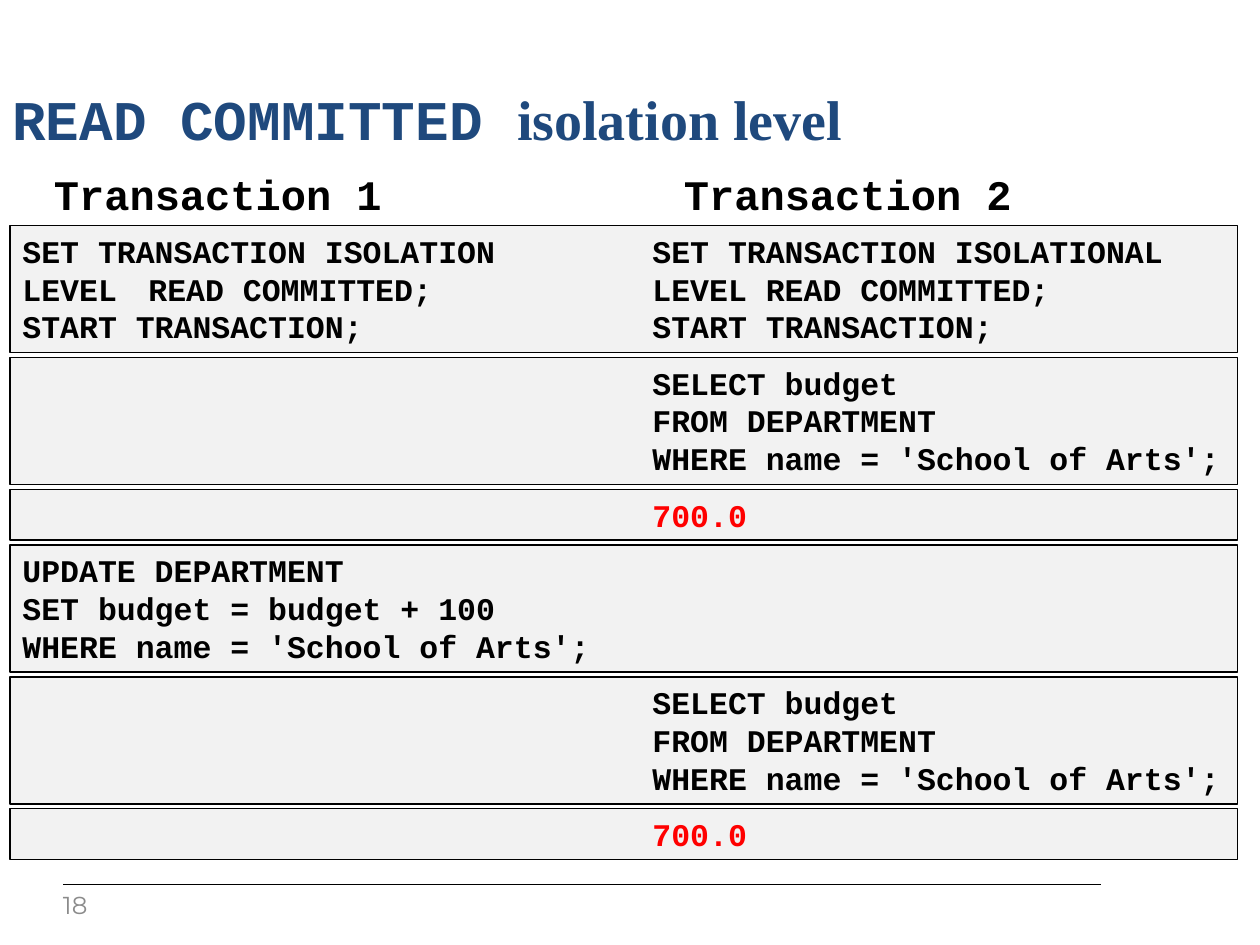
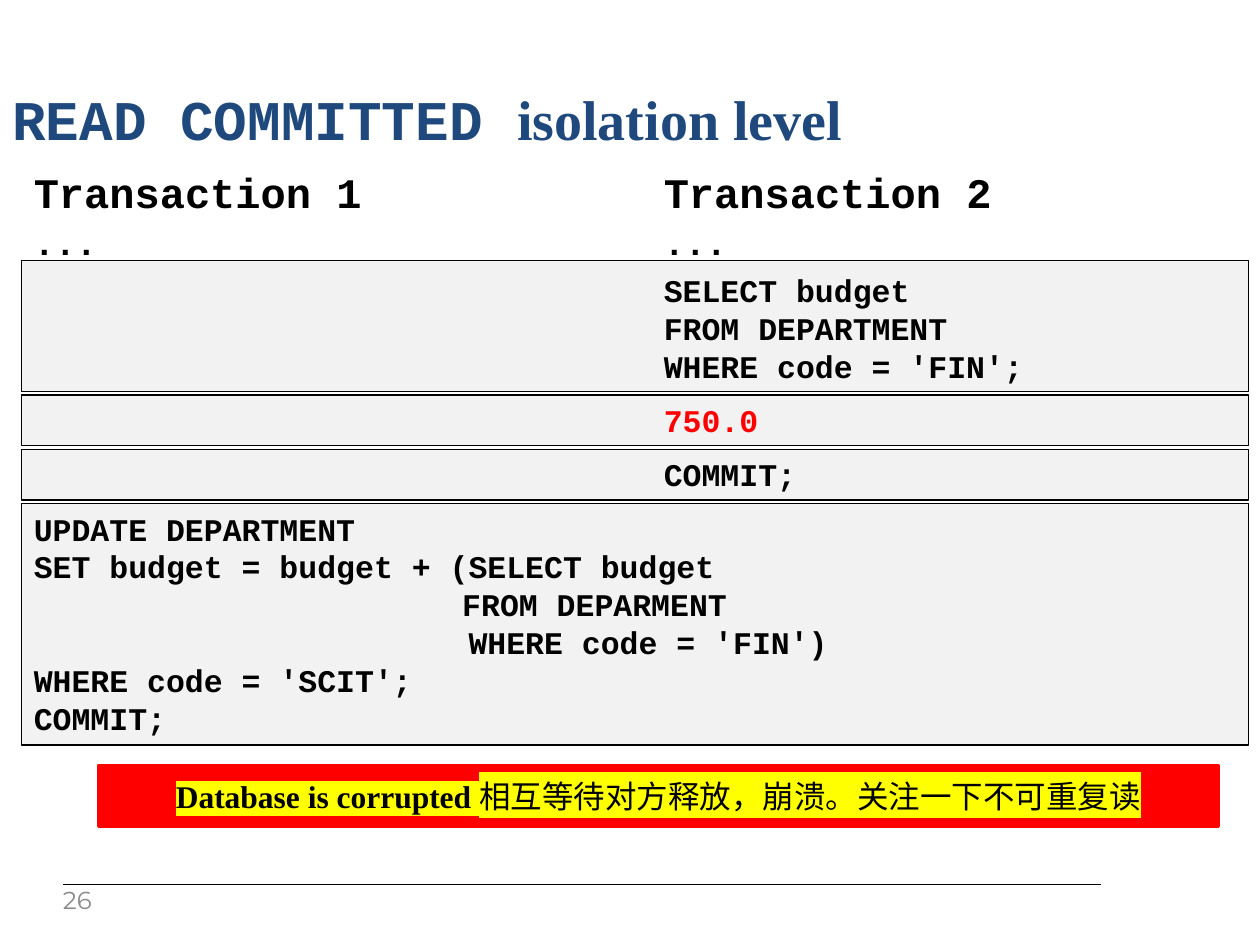
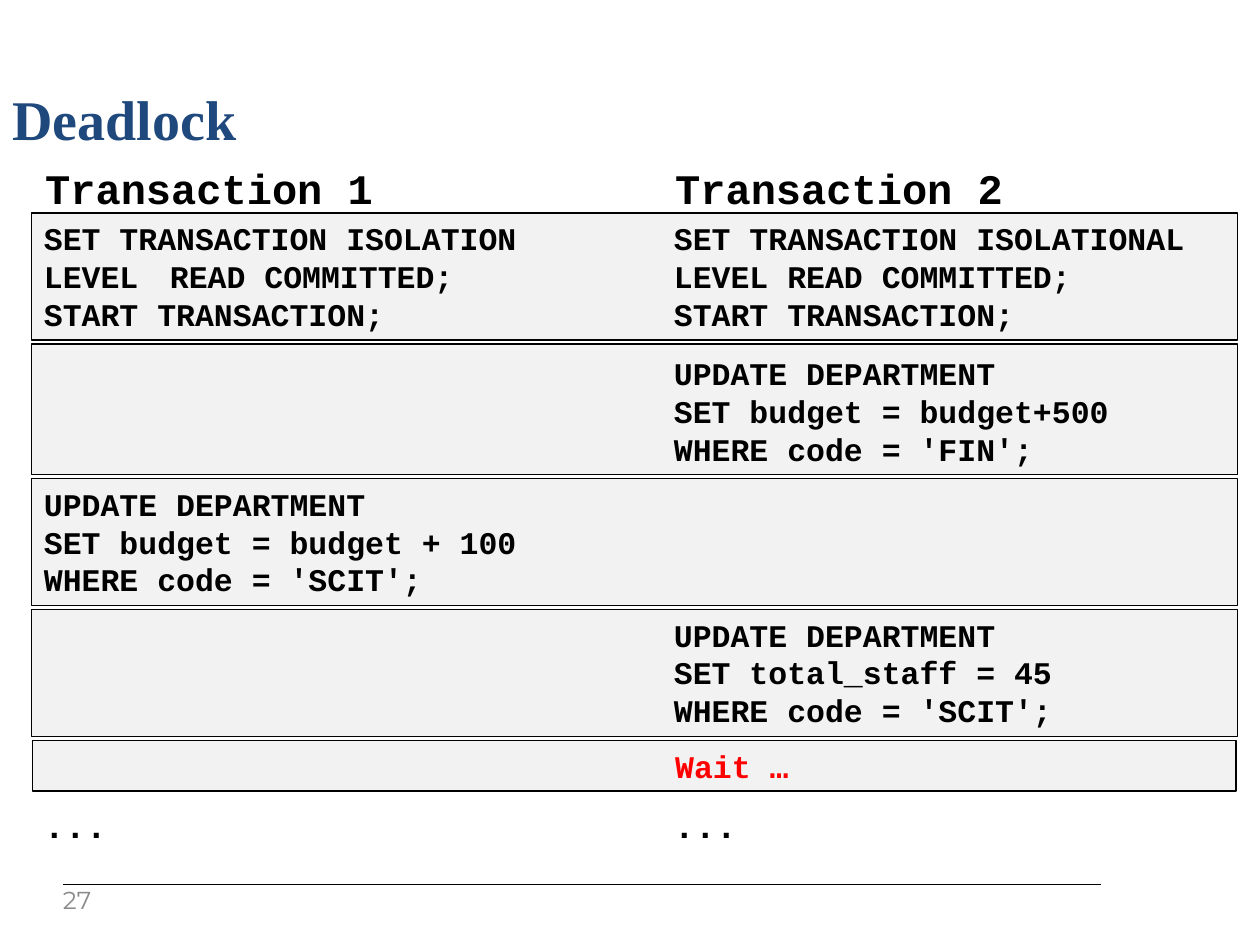
from dataclasses import dataclass
from typing import Optional

from lxml.etree import SubElement
from pptx import Presentation
from pptx.dml.color import RGBColor
from pptx.enum.shapes import MSO_CONNECTOR as Connector, MSO_SHAPE as Preset
from pptx.enum.text import MSO_ANCHOR as Anchor, MSO_AUTO_SIZE as AutoSize, PP_ALIGN as Align
from pptx.oxml.ns import qn
from pptx.util import Emu, Inches, Pt

SLIDE_WIDTH, SLIDE_HEIGHT = Inches(10), Inches(7.5)
COLUMN, ROW = SLIDE_WIDTH / 100, SLIDE_HEIGHT / 75
LABEL_COLUMN, SECOND_COLUMN = 10, 50
LINE_ROWS, PADDING_ROWS = 3.03, 1


@dataclass(frozen=True)
class Theme:
    """Colours, fonts and sizes shared by the deck."""
    ink: str = "000000"
    title: str = "1F497D"
    panel: str = "F2F2F2"
    result: str = "FF0000"
    highlight: str = "FFFF00"
    muted: str = "8B8B8B"
    code_font: str = "Courier New"
    text_font: str = "Times New Roman"
    number_font: str = "Montserrat"
    title_size: int = 32
    heading_size: int = 24
    ellipsis_size: int = 20
    code_size: int = 18
    number_size: int = 14
    hairline: float = 0.75
    heavy_line: float = 2


THEME = Theme()


@dataclass(frozen=True)
class Box:
    """A rectangle in grid columns and rows."""
    left: float
    top: float
    width: float
    height: float

    def emu(self) -> tuple[Emu, Emu, Emu, Emu]:
        """Return left, top, width and height as lengths."""
        return (Emu(round(self.left * COLUMN)), Emu(round(self.top * ROW)),
                Emu(round(self.width * COLUMN)), Emu(round(self.height * ROW)))


@dataclass(frozen=True)
class Span:
    """A piece of text in one font."""
    text: str
    font: str = THEME.text_font


@dataclass(frozen=True)
class Line:
    """One code line with a part for each transaction."""
    left: str = ""
    right: str = ""
    color: str = THEME.ink


@dataclass(frozen=True)
class Step:
    """A panel of code lines in the schedule."""
    lines: tuple[Line, ...]
    tall: bool = False
    inset: float = 0

    @property
    def rows(self) -> float:
        """Return the panel height in rows."""
        extra = 0.3 if self.tall else 0
        return PADDING_ROWS + LINE_ROWS * len(self.lines) + extra


@dataclass(frozen=True)
class Schedule:
    """The content and placing of one slide."""
    title: tuple[Span, ...]
    number: str
    number_top: float
    heading: Box
    left: float
    top: float
    width: float
    gap: float
    steps: tuple[Step, ...]
    ellipsis_top: Optional[float] = None
    warning: tuple[str, ...] = ()


def first(*texts: str) -> Step:
    """Make a step of transaction 1."""
    return Step(tuple(Line(left=text) for text in texts))


def second(*texts: str, color: str = THEME.ink, tall: bool = False, inset: float = 0) -> Step:
    """Make a step of transaction 2."""
    return Step(tuple(Line(right=text, color=color) for text in texts), tall, inset)


def rgb(color: str) -> RGBColor:
    """Turn a hex string into a colour."""
    return RGBColor.from_string(color)


def style(font, name: Optional[str], size: float, color: str, bold: bool = True) -> None:
    """Set the look of a font."""
    if name:
        font.name = name
    font.size, font.bold = Pt(size), bold
    font.color.rgb = rgb(color)


def add_text_box(slide, box: Box, grow: bool = False):
    """Add a wrapping text box and return its frame."""
    frame = slide.shapes.add_textbox(*box.emu()).text_frame
    frame.word_wrap = True
    if grow:
        frame.auto_size = AutoSize.SHAPE_TO_FIT_TEXT
    return frame


def add_rectangle(slide, box: Box, fill: str, line: str, weight: float):
    """Add a flat rectangle and return its frame."""
    shape = slide.shapes.add_shape(Preset.RECTANGLE, *box.emu())
    shape.shadow.inherit = False
    shape.fill.solid()
    shape.fill.fore_color.rgb = rgb(fill)
    shape.line.color.rgb = rgb(line)
    shape.line.width = Pt(weight)
    shape.text_frame.word_wrap = True
    return shape.text_frame


def set_tabs(paragraph, *columns: float) -> None:
    """Give a paragraph left tab stops."""
    tabs = SubElement(paragraph._p.get_or_add_pPr(), qn("a:tabLst"))
    for column in columns:
        SubElement(tabs, qn("a:tab"), pos=str(round(column * COLUMN)), algn="l")


def write_lines(frame, lines: tuple[Line, ...], size: float, tall: bool = False) -> None:
    """Write code lines aligned on the two transaction columns."""
    for index, line in enumerate(lines):
        paragraph = frame.paragraphs[0] if index == 0 else frame.add_paragraph()
        paragraph.alignment = Align.LEFT
        labels = (LABEL_COLUMN,) if "\t" in line.left else ()
        set_tabs(paragraph, *labels, SECOND_COLUMN)
        style(paragraph.font, THEME.code_font, size, line.color)
        if line.left:
            paragraph.add_run().text = line.left
        if line.right:
            tab = paragraph.add_run()
            tab.text = "\t"
            if tall and index == 0:
                tab.font.size = Pt(THEME.ellipsis_size)
            paragraph.add_run().text = line.right


def add_title(slide, spans: tuple[Span, ...]) -> None:
    """Add the slide title."""
    paragraph = add_text_box(slide, Box(0, 6.2, 100, 6.7)).paragraphs[0]
    style(paragraph.font, None, THEME.title_size, THEME.title)
    for span in spans:
        run = paragraph.add_run()
        run.text, run.font.name = span.text, span.font


def add_footer(slide, number: str, top: float) -> None:
    """Add the footer rule and the page number."""
    left, y, width, _ = Box(5, 70.2, 82.4, 0).emu()
    rule = slide.shapes.add_connector(Connector.STRAIGHT, left, y, left + width, y)
    rule.line.color.rgb = rgb(THEME.ink)
    rule.line.width = Pt(THEME.hairline)
    SubElement(rule._element.spPr, qn("a:effectLst"))
    frame = add_text_box(slide, Box(5, top, 4, 2.1))
    frame.margin_left = frame.margin_top = 0
    frame.vertical_anchor = Anchor.MIDDLE
    paragraph = frame.paragraphs[0]
    paragraph.text = number
    style(paragraph.font, THEME.number_font, THEME.number_size, THEME.muted, bold=False)


def add_steps(slide, schedule: Schedule) -> None:
    """Stack the panels of a schedule with equal gaps."""
    top = schedule.top
    for step in schedule.steps:
        box = Box(schedule.left + step.inset, top, schedule.width - 2 * step.inset, step.rows)
        frame = add_rectangle(slide, box, THEME.panel, THEME.ink, THEME.hairline)
        frame.vertical_anchor = Anchor.TOP
        frame.auto_size = AutoSize.SHAPE_TO_FIT_TEXT
        write_lines(frame, step.lines, THEME.code_size, step.tall)
        top += step.rows + schedule.gap


def add_warning(slide, texts: tuple[str, ...]) -> None:
    """Add the red bar with highlighted text."""
    frame = add_rectangle(slide, Box(7.8, 60.8, 88.9, 4.8), THEME.result, THEME.result, THEME.heavy_line)
    frame.vertical_anchor = Anchor.MIDDLE
    paragraph = frame.paragraphs[0]
    paragraph.alignment = Align.CENTER
    for index, text in enumerate(texts):
        run = paragraph.add_run()
        run.text = text
        style(run.font, None, THEME.code_size, THEME.ink, bold=index == 0)
        highlight = SubElement(run._r.get_or_add_rPr(), qn("a:highlight"))
        SubElement(highlight, qn("a:srgbClr"), val=THEME.highlight)
        run.font.name = THEME.text_font


def add_schedule(presentation, schedule: Schedule) -> None:
    """Build one slide."""
    slide = presentation.slides.add_slide(presentation.slide_layouts[6])
    add_title(slide, schedule.title)
    heading = add_text_box(slide, schedule.heading, grow=True)
    write_lines(heading, (Line("Transaction 1", "Transaction 2"),), THEME.heading_size)
    if schedule.ellipsis_top is not None:
        box = Box(schedule.left, schedule.ellipsis_top, schedule.width, 4.4)
        write_lines(add_text_box(slide, box, grow=True), (Line("...", "..."),), THEME.ellipsis_size)
    add_steps(slide, schedule)
    if schedule.warning:
        add_warning(slide, schedule.warning)
    add_footer(slide, schedule.number, schedule.number_top)


READ_COMMITTED = (Span("READ COMMITTED ", THEME.code_font), Span("isolation level"))
START = Step((
    Line("SET TRANSACTION ISOLATION", "SET TRANSACTION ISOLATIONAL"),
    Line("LEVEL\tREAD COMMITTED;", "LEVEL READ COMMITTED;"),
    Line("START TRANSACTION;", "START TRANSACTION;"),
))
SELECT = ("SELECT budget", "FROM DEPARTMENT")
ADD_BUDGET = ("UPDATE DEPARTMENT", "SET budget = budget + 100")
IS_ARTS = "WHERE name = 'School of Arts';"
IS_FIN = "WHERE code = 'FIN';"
IS_SCIT = "WHERE code = 'SCIT';"
READ_ARTS = (second(*SELECT, IS_ARTS), second("700.0", color=THEME.result))

SCHEDULES = (
    Schedule(
        READ_COMMITTED, "18", 71, Box(3.3, 12.9, 93.3, 5),
        left=0.8, top=17.9, width=97.4, gap=0.38,
        steps=(START, *READ_ARTS, first(*ADD_BUDGET, IS_ARTS), *READ_ARTS),
    ),
    Schedule(
        READ_COMMITTED, "26", 70.6, Box(1.7, 12.7, 97.4, 5),
        left=1.7, top=20.7, width=97.4, gap=0.27,
        steps=(
            second(*SELECT, IS_FIN, tall=True),
            second("750.0", color=THEME.result),
            second("COMMIT;"),
            first(
                "UPDATE DEPARTMENT",
                "SET budget = budget + (SELECT budget",
                "\t                FROM DEPARMENT",
                "                       WHERE code = 'FIN')",
                IS_SCIT,
                "COMMIT;",
            ),
        ),
        ellipsis_top=17,
        warning=("Database is corrupted ", "相互等待对方释放，崩溃。关注一下不可重复读"),
    ),
    Schedule(
        (Span("Deadlock"),), "27", 70.6, Box(2.6, 12.4, 95.5, 5),
        left=2.5, top=16.9, width=95.7, gap=0.3,
        steps=(
            START,
            second("UPDATE DEPARTMENT", "SET budget = budget+500", IS_FIN, tall=True),
            first(*ADD_BUDGET, IS_SCIT),
            second("UPDATE DEPARTMENT", "SET total_staff = 45", IS_SCIT),
            second("Wait …", color=THEME.result, inset=0.1),
        ),
        ellipsis_top=63.3,
    ),
)


def main() -> None:
    """Build and save the deck."""
    presentation = Presentation()
    presentation.slide_width, presentation.slide_height = SLIDE_WIDTH, SLIDE_HEIGHT
    for schedule in SCHEDULES:
        add_schedule(presentation, schedule)
    presentation.save("out.pptx")


if __name__ == "__main__":
    main()
